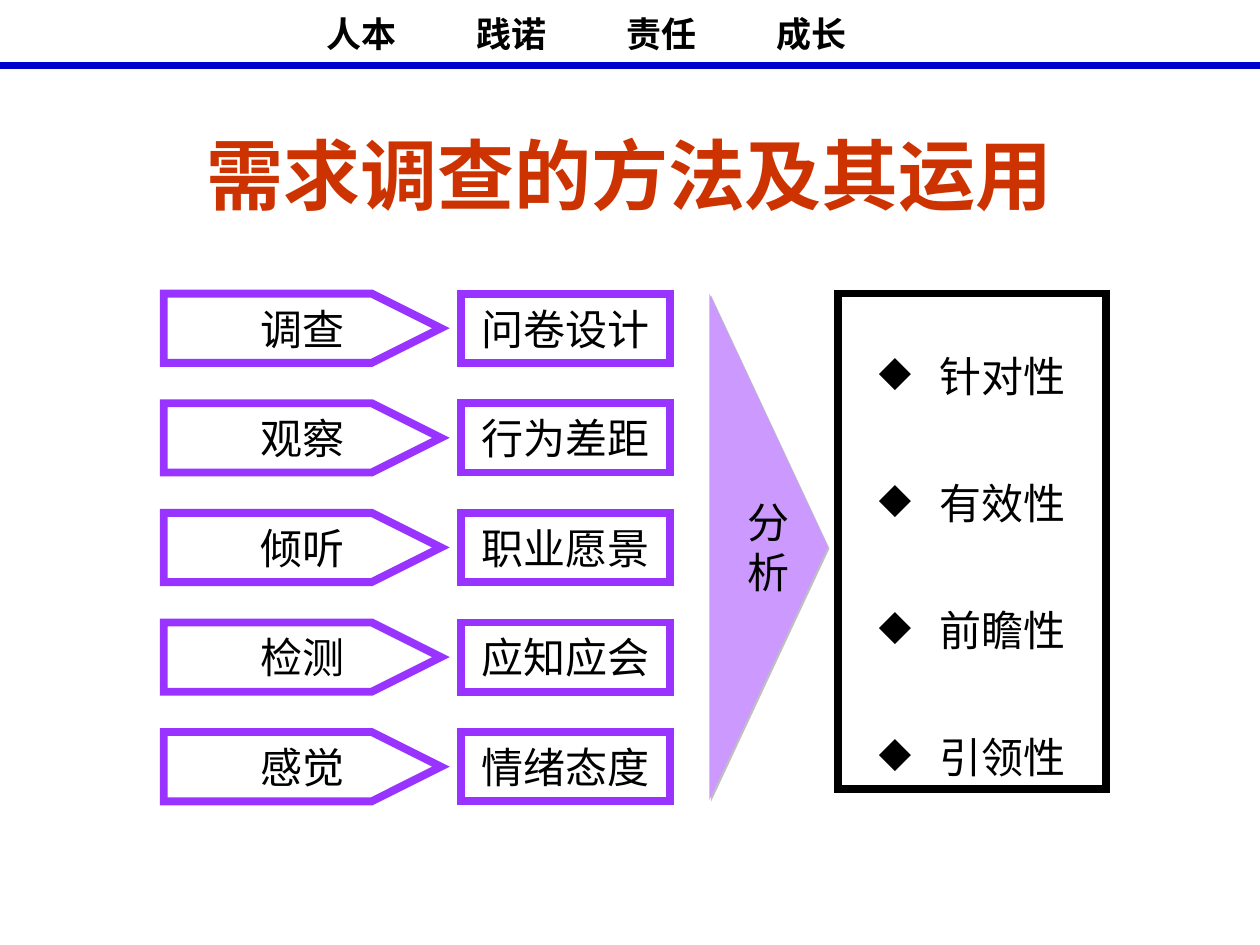
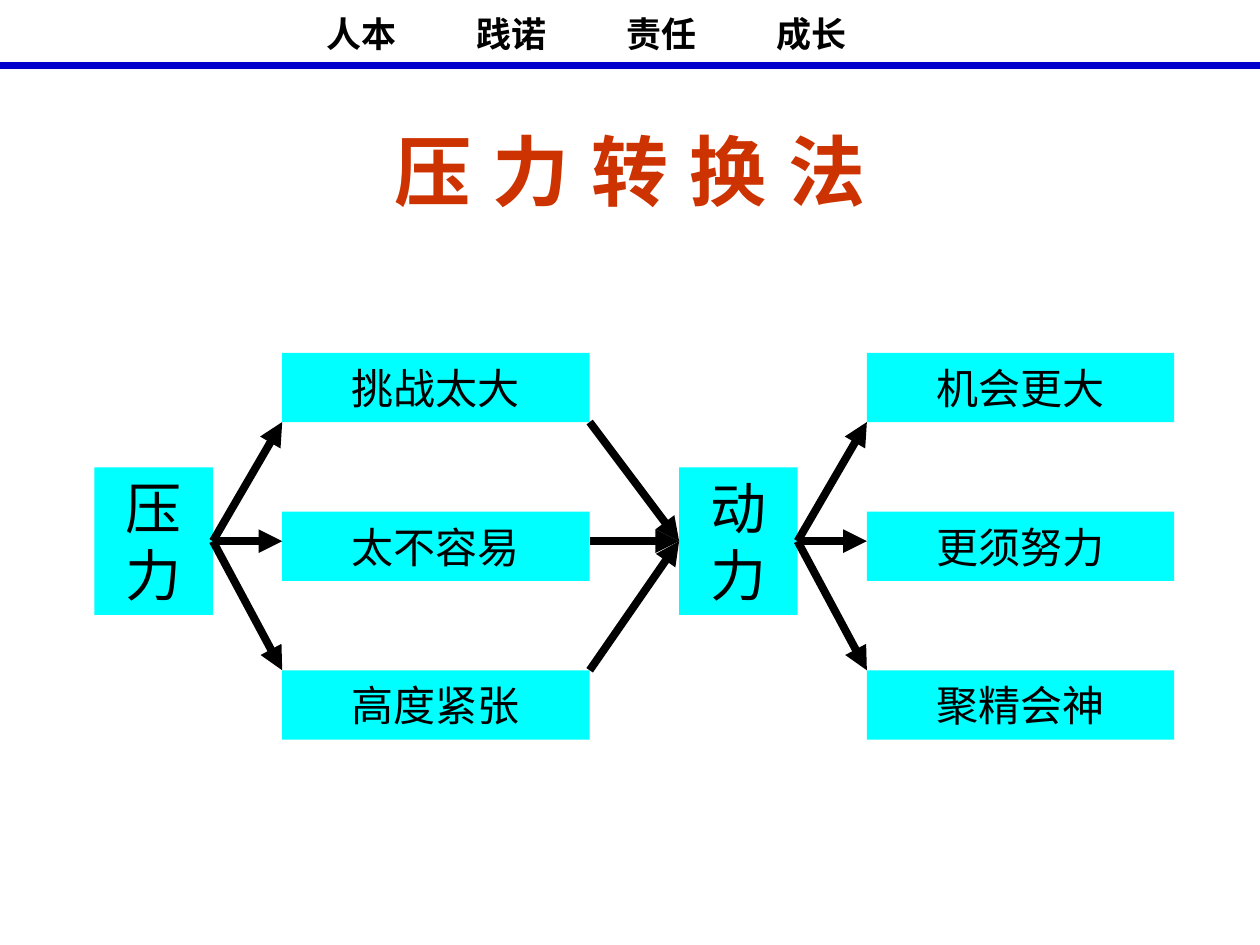
from dataclasses import dataclass

from lxml import etree
from pptx import Presentation
from pptx.dml.color import RGBColor
from pptx.enum.shapes import MSO_CONNECTOR, MSO_SHAPE
from pptx.enum.text import MSO_ANCHOR, PP_ALIGN
from pptx.oxml.ns import qn
from pptx.util import Inches, Pt

RECT = MSO_SHAPE.RECTANGLE
STRAIGHT = MSO_CONNECTOR.STRAIGHT
TOP, MIDDLE = MSO_ANCHOR.TOP, MSO_ANCHOR.MIDDLE
LEFT, CENTER = PP_ALIGN.LEFT, PP_ALIGN.CENTER
LEFT_SIDE, RIGHT_SIDE = 1, 3


@dataclass(frozen=True)
class Theme:
    ink: str = "000000"
    title: str = "CC3300"
    rule: str = "0000CC"
    violet: str = "9933FF"
    lilac: str = "CC99FF"
    cyan: str = "00FFFF"
    shade: str = "808080"
    body_font: str = "Cabin"
    title_font: str = "Arial"
    list_font: str = "Noto Sans CJK SC"
    title_size: int = 44
    key_size: int = 32
    body_size: int = 24
    head_size: int = 20
    stroke: float = 4.5


@dataclass(frozen=True)
class Box:
    x: float
    y: float
    w: float
    h: float

    @property
    def right(self) -> float:
        return self.x + self.w

    @property
    def low(self) -> float:
        return self.y + self.h

    @property
    def mid(self) -> float:
        return self.y + self.h / 2

    def lengths(self) -> list:
        return [Inches(v) for v in (self.x, self.y, self.w, self.h)]


@dataclass(frozen=True)
class Step:
    method: str
    topic: str


@dataclass(frozen=True)
class Stage:
    key: str
    x: float
    points: tuple


THEME = Theme()
HEAD = ("人本", "践诺", "责任", "成长")
STEPS = (
    Step("调查", "问卷设计"),
    Step("观察", "行为差距"),
    Step("倾听", "职业愿景"),
    Step("检测", "应知应会"),
    Step("感觉", "情绪态度"),
)
GOALS = ("针对性", "有效性", "前瞻性", "引领性")
STAGES = (
    Stage("压力", 0.75, ("挑战太大", "太不容易", "高度紧张")),
    Stage("动力", 5.39, ("机会更大", "更须努力", "聚精会神")),
)


def add_xml(parent, tag: str, **attrs):
    return etree.SubElement(parent, qn(tag), {k: str(v) for k, v in attrs.items()})


def write(shape, text: str, *, size: int = THEME.body_size, font: str = THEME.body_font,
          east: str = THEME.body_font, color: str = THEME.ink, bold: bool = False,
          align=CENTER, anchor=MIDDLE, wrap: bool = False, inset: float = 0.1,
          spacing: float = 1.0, before: float = 0) -> None:
    """Fill a shape with text, one paragraph for each line."""
    frame = shape.text_frame
    frame.word_wrap = wrap
    frame.vertical_anchor = anchor
    frame.margin_left, frame.margin_right = Inches(inset), Inches(0.1)
    frame.margin_top = frame.margin_bottom = Inches(0.05)
    for i, line in enumerate(text.split("\n")):
        para = frame.add_paragraph() if i else frame.paragraphs[0]
        para.alignment = align
        para.line_spacing = spacing
        if i and before:
            para.space_before = Pt(before)
        run = para.add_run()
        run.text = line
        run.font.size, run.font.bold, run.font.name = Pt(size), bold, font
        run.font.color.rgb = RGBColor.from_string(color)
        add_xml(run.font._element, "a:ea", typeface=east)


def style(shape, fill: str = "", line: str = ""):
    shape.shadow.inherit = False
    if fill:
        shape.fill.solid()
        shape.fill.fore_color.rgb = RGBColor.from_string(fill)
    else:
        shape.fill.background()
    if line:
        shape.line.color.rgb = RGBColor.from_string(line)
        shape.line.width = Pt(THEME.stroke)
        add_xml(shape.line._get_or_add_ln(), "a:miter", lim=800000)
    else:
        shape.line.fill.background()
    return shape


def add_rect(slide, box: Box, fill: str = "", line: str = ""):
    return style(slide.shapes.add_shape(RECT, *box.lengths()), fill, line)


def add_path(slide, points: list, fill: str = "", line: str = ""):
    spots = [(Inches(x), Inches(y)) for x, y in points]
    build = slide.shapes.build_freeform(*spots[0])
    build.add_line_segments(spots[1:], close=True)
    return style(build.convert_to_shape(), fill, line)


def add_line(slide, start: tuple, end: tuple, color: str = THEME.ink, arrow: bool = False):
    line = slide.shapes.add_connector(STRAIGHT, *(Inches(v) for v in start + end))
    line.line.color.rgb = RGBColor.from_string(color)
    line.line.width = Pt(THEME.stroke)
    if arrow:
        add_xml(line.line._get_or_add_ln(), "a:tailEnd", type="triangle")
    add_xml(line._element.spPr, "a:effectLst")
    return line


def add_shadow(shape) -> None:
    effects = shape._element.spPr.find(qn("a:effectLst"))
    outer = add_xml(effects, "a:outerShdw", dist=Pt(1.4), dir=45 * 60000,
                    algn="ctr", rotWithShape=0)
    color = add_xml(outer, "a:srgbClr", val=THEME.shade)
    add_xml(color, "a:alpha", val=50000)


def add_bullets(shape) -> None:
    hang = Inches(0.48)
    for para in shape.text_frame.paragraphs:
        props = para._p.get_or_add_pPr()
        props.set("marL", str(hang))
        props.set("indent", str(-hang))
        color = add_xml(props, "a:buClr")
        add_xml(color, "a:srgbClr", val=THEME.ink)
        add_xml(props, "a:buChar", char="◆")


def add_page(deck, title: str, box: Box):
    """Start a slide with the shared header, rule and title."""
    slide = deck.slides.add_slide(deck.slide_layouts[6])
    head = slide.shapes.add_textbox(*Box(0.51, 0.05, 8.98, 0.44).lengths())
    write(head, "\t".join(HEAD), size=THEME.head_size, font=THEME.list_font, bold=True,
          align=LEFT, anchor=TOP, wrap=True, inset=2.08)
    tabs = add_xml(head.text_frame.paragraphs[0]._p.get_or_add_pPr(), "a:tabLst")
    for i in range(1, len(HEAD)):
        add_xml(tabs, "a:tab", pos=Inches(1.19 * i), algn="l")
    add_line(slide, (0, 0.52), (10, 0.52), THEME.rule)
    name = slide.shapes.add_textbox(*box.lengths())
    write(name, title, size=THEME.title_size, font=THEME.title_font,
          east=THEME.title_font, color=THEME.title, bold=True, wrap=True)
    return slide


def add_survey(deck) -> None:
    slide = add_page(deck, "需求调查的方法及其运用", Box(0.45, 0.91, 9.1, 0.94))
    top, pitch, tall = 2.33, 0.87, 0.55
    for i, step in enumerate(STEPS):
        tag = Box(1.3, top + i * pitch, 2.2, tall)
        neck = tag.right - tall
        arrow = add_path(slide, [(tag.x, tag.y), (neck, tag.y), (tag.right, tag.mid),
                                 (neck, tag.low), (tag.x, tag.low)], line=THEME.violet)
        write(arrow, step.method)
        topic = add_rect(slide, Box(3.66, tag.y, 1.66, tall), line=THEME.violet)
        write(topic, step.topic)

    wedge = Box(5.63, top, 0.94, 4.02)
    study = add_path(slide, [(wedge.x, wedge.y), (wedge.right, wedge.mid),
                             (wedge.x, wedge.low)], fill=THEME.lilac)
    add_shadow(study)
    write(study, "分\n析")

    goals = add_rect(slide, Box(6.65, top, 2.13, 3.93), line=THEME.ink)
    write(goals, "\n".join(GOALS), font=THEME.list_font, anchor=TOP, wrap=True,
          spacing=2.0, before=15)
    add_bullets(goals)


def add_stress(deck) -> None:
    slide = add_page(deck, "压 力 转 换 法", Box(0.5, 0.84, 9, 1.02))
    last = []
    for stage in STAGES:
        key = Box(stage.x, 3.71, 0.94, 1.17)
        block = add_rect(slide, key, fill=THEME.cyan)
        write(block, stage.key, size=THEME.key_size, anchor=TOP, wrap=True)
        for spot in last:
            add_line(slide, spot, (key.x, key.mid), arrow=True).end_connect(block, LEFT_SIDE)
        last = []
        for i, point in enumerate(stage.points):
            box = Box(stage.x + 1.49, 2.8 + i * 1.26, 2.44, 0.55)
            write(add_rect(slide, box, fill=THEME.cyan), point)
            y = (box.low, key.mid, box.y)[i]
            line = add_line(slide, (key.right, key.mid), (box.x, y), arrow=True)
            line.begin_connect(block, RIGHT_SIDE)
            last.append((box.right, y))


def main() -> None:
    deck = Presentation()
    deck.slide_width, deck.slide_height = Inches(10), Inches(7.5)
    add_survey(deck)
    add_stress(deck)
    deck.save("out.pptx")


if __name__ == "__main__":
    main()
